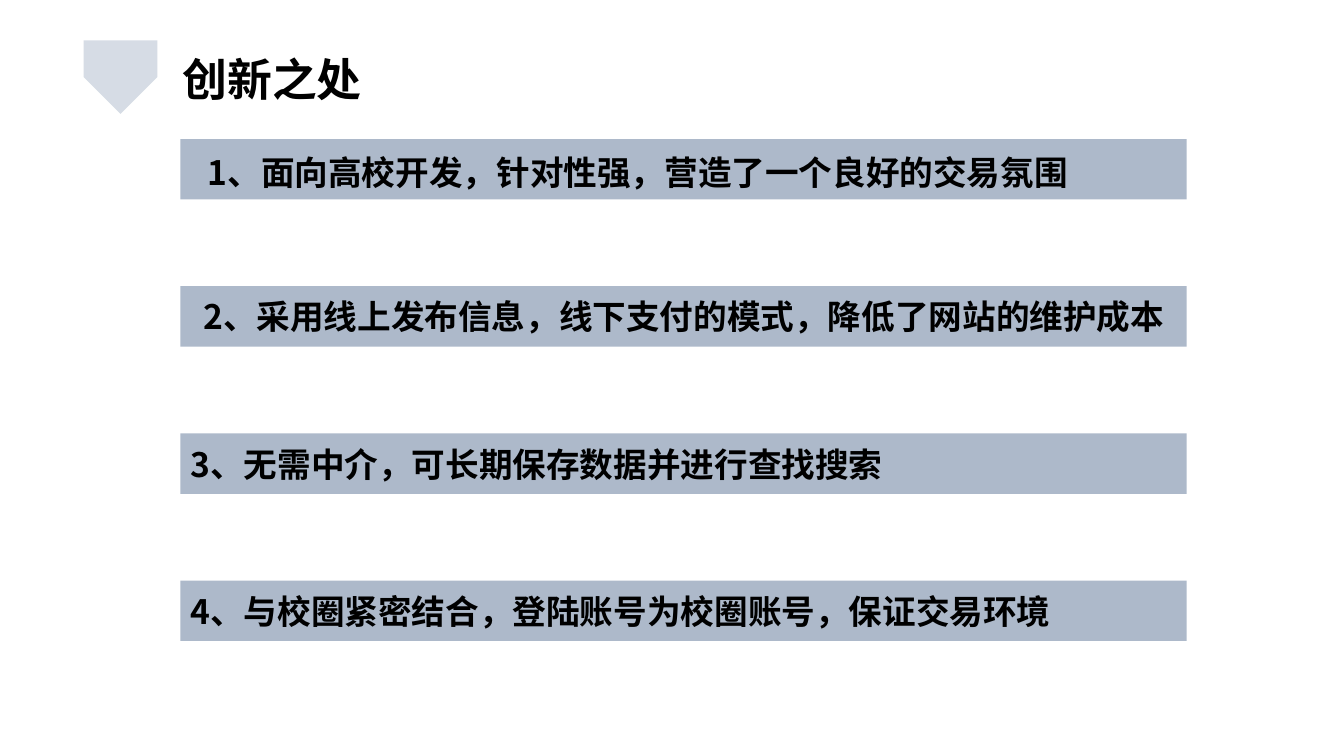
import pptx
import pptx.dml.color
import pptx.enum.shapes
import pptx.enum.text
import pptx.oxml
import pptx.oxml.ns
import pptx.util

Inches = pptx.util.Inches
ALIGN = pptx.enum.text.PP_ALIGN
FONT = "Noto Sans CJK SC"
BAR_HEIGHT = 0.6
BAR_PITCH = 1.46

# Text, alignment, left inset, top inset
INNOVATIONS = [
    ("1、面向高校开发，针对性强，营造了一个良好的交易氛围", ALIGN.LEFT, 0.27, 0.11),
    ("2、采用线上发布信息，线下支付的模式，降低了网站的维护成本", ALIGN.CENTER, 0.1, 0.05),
    ("3、无需中介，可长期保存数据并进行查找搜索", ALIGN.LEFT, 0.1, 0.05),
    ("4、与校圈紧密结合，登陆账号为校圈账号，保证交易环境", ALIGN.LEFT, 0.1, 0.05),
]


def color(hex_string):
    return pptx.dml.color.RGBColor.from_string(hex_string)


def write_text(shape, text, size, alignment=ALIGN.LEFT):
    """Fill the shape with one bold black paragraph, centred vertically."""
    frame = shape.text_frame
    frame.word_wrap = True
    frame.auto_size = pptx.enum.text.MSO_AUTO_SIZE.NONE
    frame.vertical_anchor = pptx.enum.text.MSO_ANCHOR.MIDDLE
    frame.text = text
    paragraph = frame.paragraphs[0]
    paragraph.alignment = alignment
    paragraph.line_spacing = 1.0
    font = paragraph.font
    font.name = FONT
    font.size = pptx.util.Pt(size)
    font.bold = True
    font.color.rgb = color("000000")
    properties = paragraph._p.pPr.find(pptx.oxml.ns.qn("a:defRPr"))
    properties.append(pptx.oxml.parse_xml(
        f'<a:ea {pptx.oxml.ns.nsdecls("a")} typeface="{FONT}"/>'))


def add_filled_shape(slide, kind, left, top, width, height, fill):
    shape = slide.shapes.add_shape(
        kind, Inches(left), Inches(top), Inches(width), Inches(height))
    shape.shadow.inherit = False
    shape.fill.solid()
    shape.fill.fore_color.rgb = color(fill)
    shape.line.fill.background()
    return shape


def add_header(slide, left, top, text):
    shield = add_filled_shape(
        slide, pptx.enum.shapes.MSO_SHAPE.SNIP_2_SAME_RECTANGLE,
        left, top, 0.73, 0.73, "D6DCE5")
    shield.rotation = 180
    shield.adjustments[0] = 0.5
    shield.adjustments[1] = 0
    title = slide.shapes.title
    title.left, title.top = Inches(left + 0.88), Inches(top + 0.06)
    title.width, title.height = Inches(4.31), Inches(0.64)
    write_text(title, text, 32)


def add_innovation_bars(slide, left, top, width):
    for index, (text, alignment, left_inset, top_inset) in enumerate(INNOVATIONS):
        bar = add_filled_shape(
            slide, pptx.enum.shapes.MSO_SHAPE.RECTANGLE,
            left, top + index * BAR_PITCH, width, BAR_HEIGHT, "ADB9CA")
        write_text(bar, text, 24, alignment)
        bar.text_frame.margin_left = Inches(left_inset)
        bar.text_frame.margin_top = Inches(top_inset)


def main():
    presentation = pptx.Presentation()
    presentation.slide_width = Inches(13.33)
    presentation.slide_height = Inches(7.5)
    title_only = presentation.slide_layouts.get_by_name("Title Only")
    slide = presentation.slides.add_slide(title_only)
    add_header(slide, 0.83, 0.4, "创新之处")
    add_innovation_bars(slide, 1.79, 1.38, 9.98)
    presentation.save("out.pptx")


if __name__ == "__main__":
    main()
